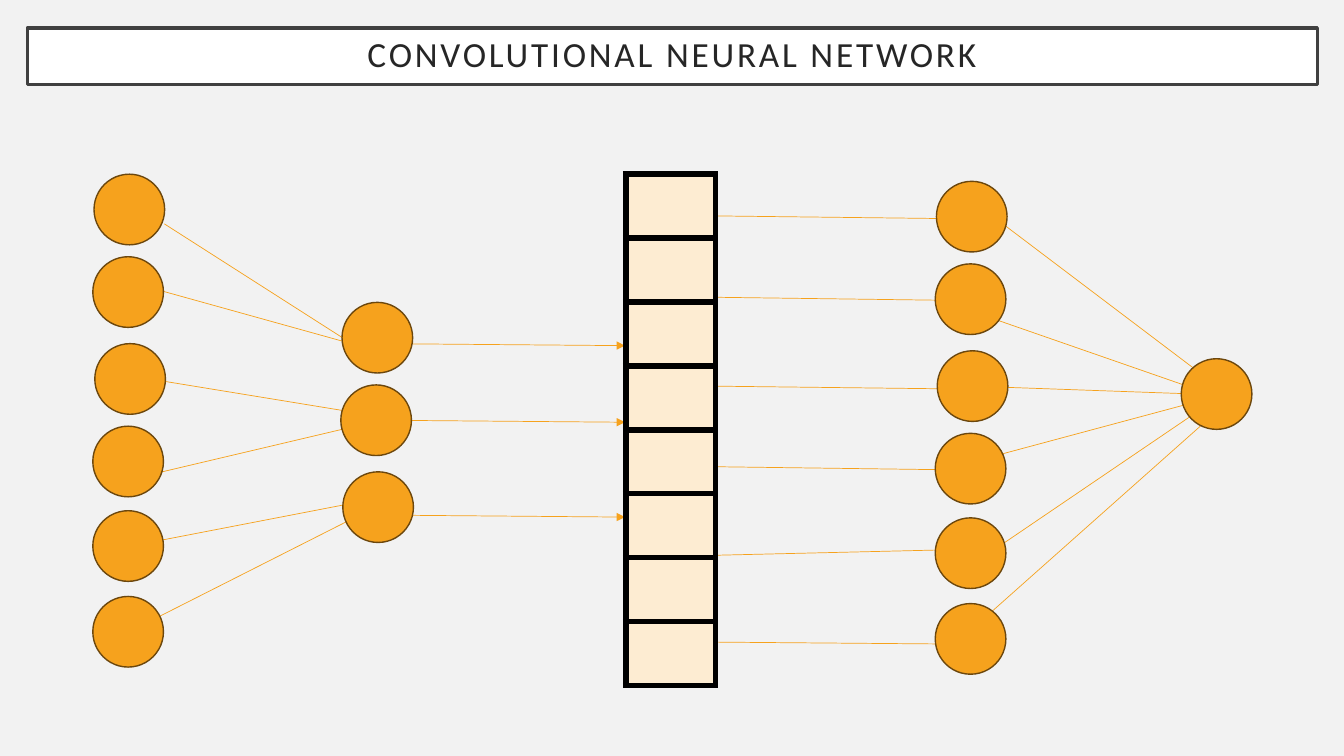
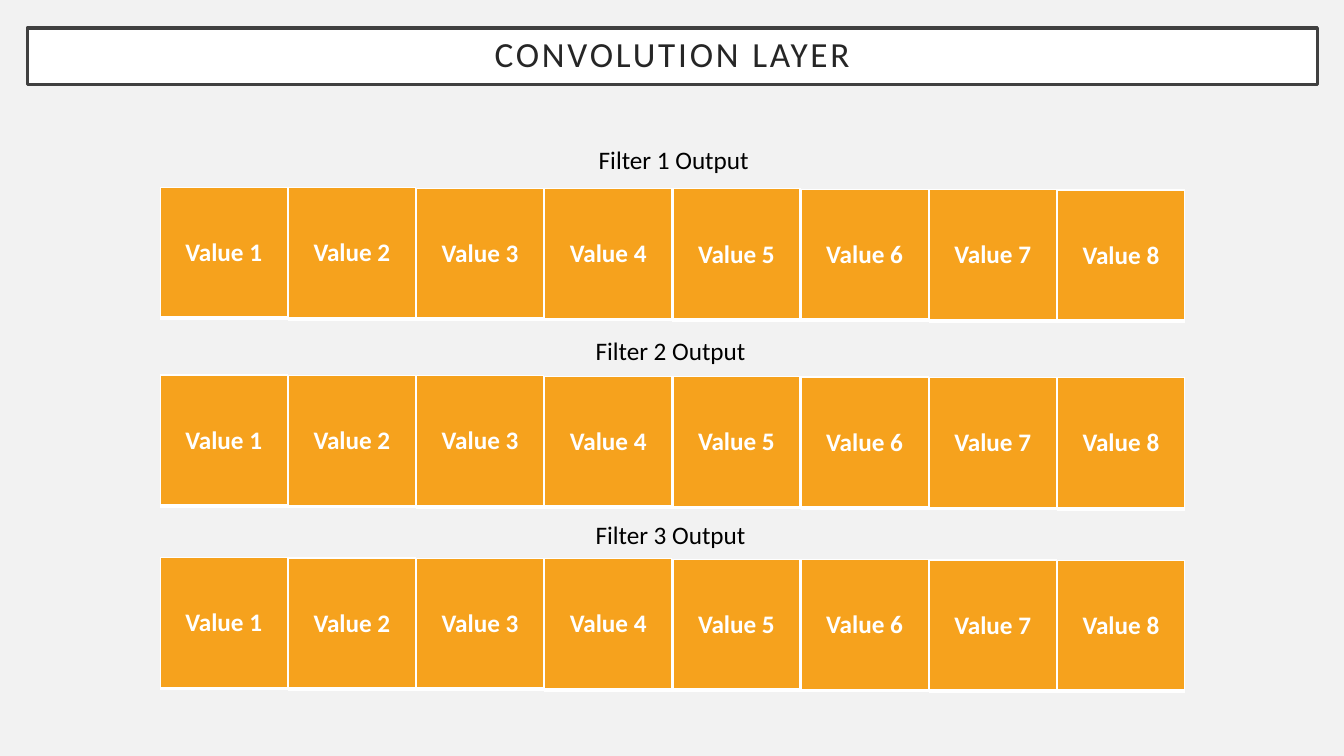
from lxml.etree import SubElement
from pptx import Presentation
from pptx.dml.color import RGBColor
from pptx.enum.shapes import MSO_CONNECTOR, MSO_SHAPE
from pptx.enum.text import MSO_ANCHOR, PP_ALIGN
from pptx.oxml.ns import qn
from pptx.util import Cm, Pt

FONT = "Calibri"
COLORS = {
    "back": "F2F2F2", "white": "FFFFFF", "frame": "404040", "title": "262626",
    "black": "000000", "node": "F6A21D", "rim": "6C470D", "pale": "FDECD2",
}

# All lengths are in centimetres.
SIZE = 1.78
NUDGES = [(0.03, 0), (0, 2.08), (0.05, 4.27), (0, 6.35), (0, 8.48), (0, 10.64)]
LAYERS = [  # left, top, number of nodes
    (2.34, 4.39, 6),
    (8.59, 7.62, 3),
    (23.57, 4.57, 6),
    (29.74, 9.04, 1),
]
LINKS = [  # from x, from y, to x, to y
    # input to filters
    (4.14, 5.64, 8.99, 8.74),
    (4.11, 7.34, 9.04, 8.71),
    (4.09, 9.6, 9.04, 10.41),
    (3.66, 11.99, 9.04, 10.72),
    (3.66, 13.69, 9.04, 12.65),
    (3.33, 15.88, 9.02, 13),
    # filters to stack
    (9.73, 8.66, 15.75, 8.71),
    (9.73, 10.59, 15.75, 10.64),
    (9.73, 12.98, 15.75, 13.03),
    # stack to dense layer
    (17.98, 5.44, 24.03, 5.51),
    (17.98, 7.49, 24.03, 7.57),
    (17.98, 9.73, 24.03, 9.8),
    (17.98, 11.76, 24.03, 11.84),
    (17.68, 14, 24.46, 13.84),
    (18.01, 16.18, 24.05, 16.23),
    # dense layer to output
    (25.27, 5.64, 30.81, 9.83),
    (24.51, 7.85, 30.12, 9.8),
    (24.51, 9.73, 30.15, 9.93),
    (24.54, 11.63, 30.2, 10.11),
    (24.54, 14.2, 30.15, 10.39),
    (24.33, 16, 30.53, 10.49),
]
STACK = {"left": 15.77, "top": 4.39, "width": 2.26, "row": 1.61, "count": 8}

FILTERS = [  # label, label left, label top, cells top
    ("Filter 1 Output", 4.09, 3.51, 4.72),
    ("Filter 2 Output", 4.01, 8.33, 9.45),
    ("Filter 3 Output", 4.01, 12.95, 14.05),
]
VALUES = [f"Value {n}" for n in range(1, 9)]
CELL = {"left": 4.04, "step": 3.23, "drift": 0.01, "width": 3.2, "height": 3.3}


def rgb(name):
    return RGBColor.from_string(COLORS[name])


def paint(shape, fill, line, width):
    shape.shadow.inherit = False
    shape.fill.solid()
    shape.fill.fore_color.rgb = rgb(fill)
    shape.line.color.rgb = rgb(line)
    shape.line.width = Pt(width)


def write(frame, text, size, color, bold=False):
    """Put one centred line in a text frame and return its paragraph."""
    frame.text = text
    para = frame.paragraphs[0]
    para.alignment = PP_ALIGN.CENTER
    font = para.runs[0].font
    font.name, font.size, font.bold = FONT, Pt(size), bold
    font.color.rgb = rgb(color)
    return para


def add_page(prs, title):
    """Add a slide with the framed title."""
    slide = prs.slides.add_slide(prs.slide_layouts[6])
    box = slide.shapes.add_shape(
        MSO_SHAPE.RECTANGLE, Cm(0.69), Cm(0.71), Cm(32.51), Cm(1.42))
    paint(box, "white", "frame", 2.5)
    frame = box.text_frame
    frame.word_wrap = True
    frame.vertical_anchor = MSO_ANCHOR.MIDDLE
    frame.margin_top = frame.margin_bottom = 0
    para = write(frame, title, 25.2, "title")
    para.line_spacing = 0.9
    para.runs[0].font._element.set("spc", "200")
    return slide


def add_link(slide, x1, y1, x2, y2):
    link = slide.shapes.add_connector(
        MSO_CONNECTOR.STRAIGHT, Cm(x1), Cm(y1), Cm(x2), Cm(y2))
    link.line.color.rgb = rgb("node")
    link.line.width = Pt(0.5)
    SubElement(link.line._get_or_add_ln(), qn("a:tailEnd"), type="triangle")
    SubElement(link._element.spPr, qn("a:effectLst"))


def add_node(slide, left, top):
    node = slide.shapes.add_shape(
        MSO_SHAPE.OVAL, Cm(left), Cm(top), Cm(SIZE), Cm(SIZE))
    paint(node, "node", "rim", 1)


def add_grid(slide, rows, left, top, width, height, fill, edge, widths):
    """Add a one-column table; widths are the left, right, top, bottom edges."""
    table = slide.shapes.add_table(
        rows, 1, Cm(left), Cm(top), Cm(width), Cm(height)).table
    table.first_row = table.horz_banding = False
    for cell in table.iter_cells():
        props = cell._tc.get_or_add_tcPr()
        for side, points in zip("LRTB", widths):
            line = SubElement(props, qn(f"a:ln{side}"), w=str(Pt(points)))
            solid = SubElement(line, qn("a:solidFill"))
            SubElement(solid, qn("a:srgbClr"), val=COLORS[edge])
        cell.fill.solid()
        cell.fill.fore_color.rgb = rgb(fill)
        cell.vertical_anchor = MSO_ANCHOR.MIDDLE
    return table


def build_net(prs):
    slide = add_page(prs, "CONVOLUTIONAL NEURAL NETWORK")
    for link in LINKS:
        add_link(slide, *link)
    add_grid(slide, STACK["count"], STACK["left"], STACK["top"], STACK["width"],
             STACK["row"] * STACK["count"], "pale", "black", [4.5] * 4)
    for left, top, count in LAYERS:
        for dx, dy in NUDGES[:count]:
            add_node(slide, left + dx, top + dy)


def build_layer(prs):
    slide = add_page(prs, "CONVOLUTION LAYER")
    for label, left, high, top in FILTERS:
        for n, value in enumerate(VALUES):
            table = add_grid(
                slide, 1, CELL["left"] + n * CELL["step"], top + n * CELL["drift"],
                CELL["width"], CELL["height"], "node", "white", [1, 1, 1, 3])
            write(table.cell(0, 0).text_frame, value, 18, "white", True)
        box = slide.shapes.add_textbox(Cm(left), Cm(high), Cm(25.78), Cm(1.02))
        box.text_frame.word_wrap = True
        write(box.text_frame, label, 18, "black")


def main():
    prs = Presentation()
    prs.slide_width, prs.slide_height = Cm(33.87), Cm(19.05)
    back = prs.slide_master.background.fill
    back.solid()
    back.fore_color.rgb = rgb("back")
    build_net(prs)
    build_layer(prs)
    prs.save("out.pptx")


if __name__ == "__main__":
    main()
